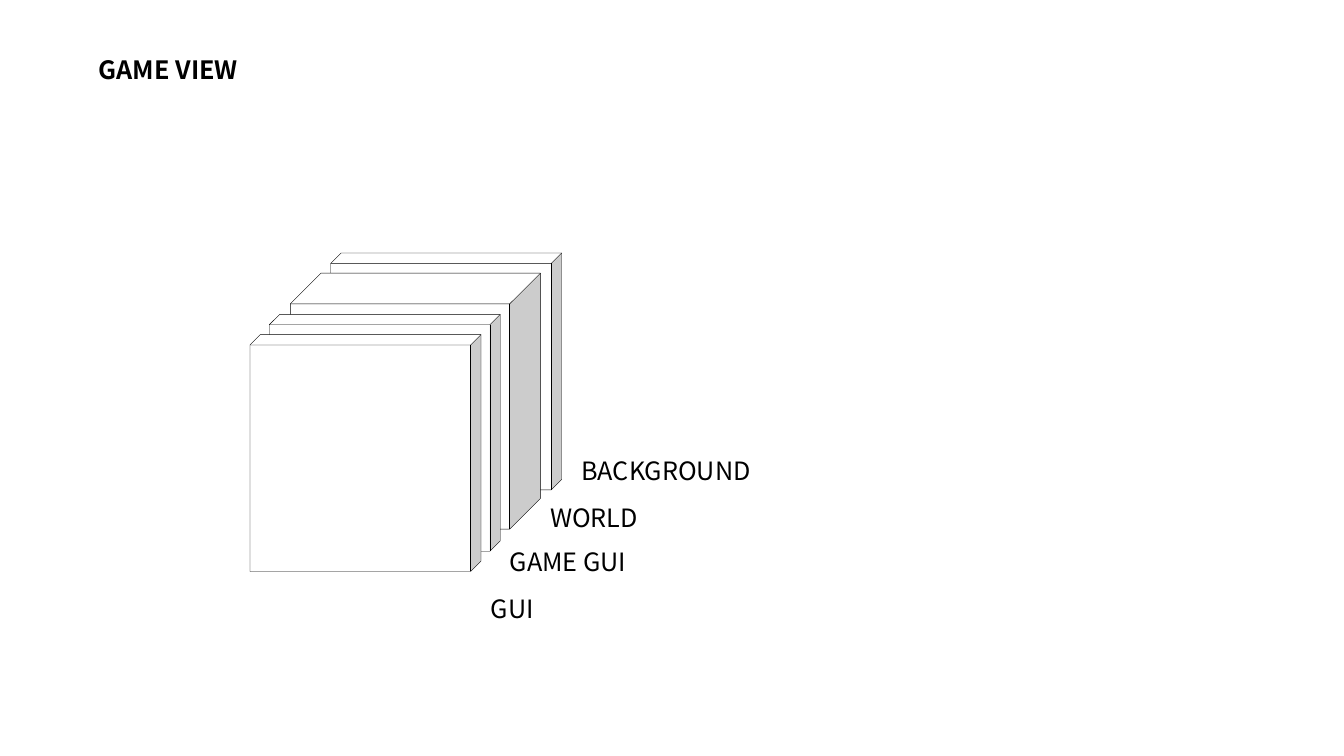
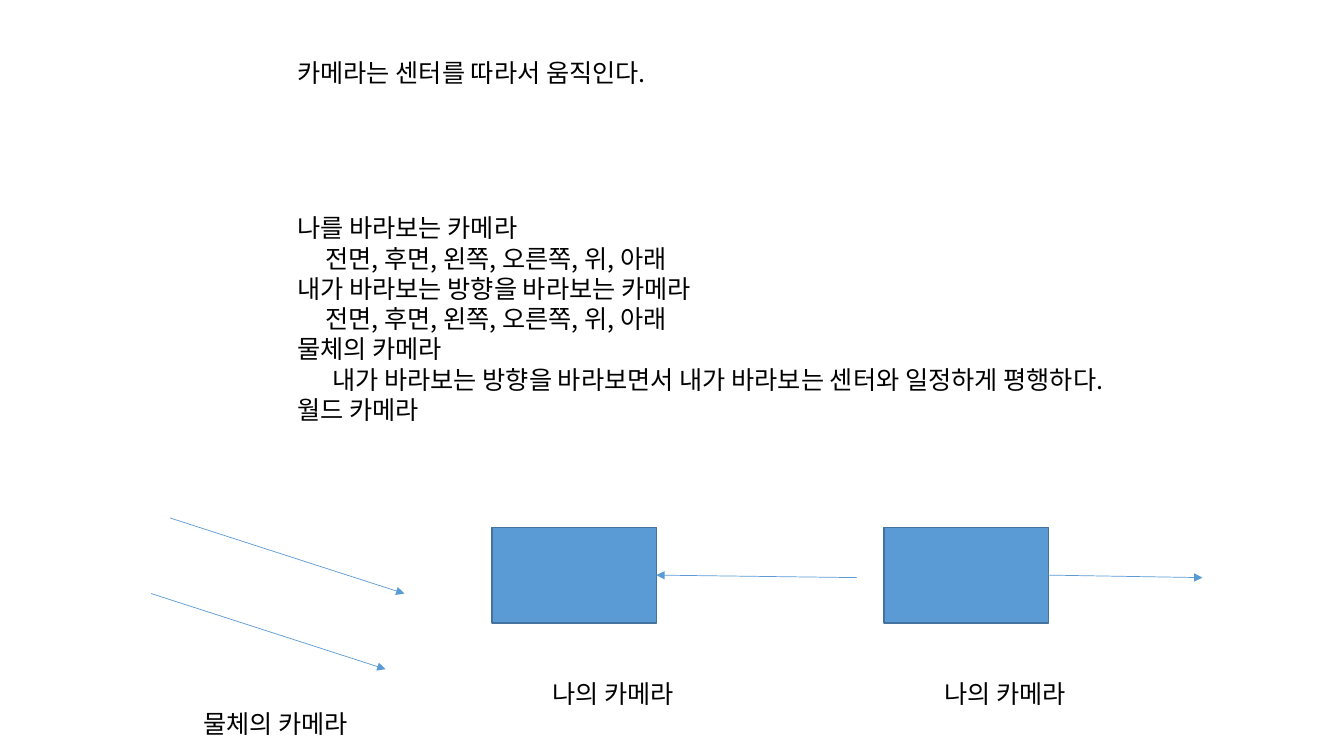
import pptx
import pptx.dml.color
import pptx.enum.shapes
import pptx.enum.text
import pptx.oxml.ns
import pptx.util
from lxml import etree

Pt = pptx.util.Pt
SHAPES = pptx.enum.shapes.MSO_SHAPE
ANCHOR = pptx.enum.text.MSO_ANCHOR
ALIGN = pptx.enum.text.PP_ALIGN

# Shared style
FONT = "Noto Sans CJK KR"
BLACK, WHITE, BLUE, DARK_BLUE = "000000", "FFFFFF", "5B9BD5", "43739E"
LINE_HEIGHT = 21.6
TEXT_HEIGHT = 28.8
FRAME_FORMAT = {"vertical_anchor": ANCHOR.TOP,
                "auto_size": pptx.enum.text.MSO_AUTO_SIZE.NONE}
PARA_FORMAT = {"alignment": ALIGN.LEFT, "line_spacing": Pt(LINE_HEIGHT),
               "space_before": Pt(0), "space_after": Pt(0)}
FONT_FORMAT = {"name": FONT, "size": Pt(18)}


def apply_format(target, values):
    for name, value in values.items():
        setattr(target, name, value)


def color(hex_value):
    return pptx.dml.color.RGBColor.from_string(hex_value)


def place(box, left, top, width, height):
    apply_format(box, {"left": Pt(left), "top": Pt(top),
                       "width": Pt(width), "height": Pt(height)})


def write_text(box, lines, bold=False, wrap=True):
    """Fill a box with (indent, text) lines in the shared text style."""
    frame = box.text_frame
    apply_format(frame, {**FRAME_FORMAT, "word_wrap": wrap})
    for number, (indent, text) in enumerate(lines):
        para = frame.paragraphs[0] if number == 0 else frame.add_paragraph()
        apply_format(para, PARA_FORMAT)
        properties = para._p.get_or_add_pPr()
        properties.set("marL", str(Pt(indent)))
        properties.set("indent", "0")
        etree.SubElement(properties, pptx.oxml.ns.qn("a:buNone"))
        span = para.add_run()
        span.text = text
        apply_format(span.font, {**FONT_FORMAT, "bold": bold})
        span.font.color.rgb = color(BLACK)
        east_asian = etree.SubElement(span.font._element, pptx.oxml.ns.qn("a:ea"))
        east_asian.set("typeface", FONT)


def add_title(page, text, left, top, width, bold=False):
    title = page.shapes.title
    place(title, left, top, width, TEXT_HEIGHT)
    write_text(title, [(0, text)], bold)


def add_label(page, text, left, top, width):
    box = page.shapes.add_textbox(Pt(left), Pt(top), Pt(width), Pt(TEXT_HEIGHT))
    write_text(box, [(0, text)], wrap=False)


def add_block(page, kind, left, top, width, height, fill, line, weight):
    block = page.shapes.add_shape(kind, Pt(left), Pt(top), Pt(width), Pt(height))
    block.shadow.inherit = False
    block.fill.solid()
    block.fill.fore_color.rgb = color(fill)
    block.line.color.rgb = color(line)
    block.line.width = Pt(weight)
    return block


def add_arrow(page, start, end):
    arrow = page.shapes.add_connector(
        pptx.enum.shapes.MSO_CONNECTOR.STRAIGHT, *map(Pt, (*start, *end)))
    arrow.line.color.rgb = color(BLUE)
    arrow.line.width = Pt(0.5)
    tail = etree.SubElement(arrow.line._get_or_add_ln(), pptx.oxml.ns.qn("a:tailEnd"))
    tail.set("type", "triangle")
    etree.SubElement(arrow._element.spPr, pptx.oxml.ns.qn("a:effectLst"))
    return arrow


# Slide 1: stacked view layers, from back to front
THIN = (165, 169.2, 0.045)
DEEP = (178.6, 182.9, 0.123)
LAYERS = [
    # label, label width, label offset, cube offset, cube size and depth
    ("BACKGROUND", 135.4, (229.6, 141.1), (57.6, 0), THIN),
    ("WORLD", 78.5, (207.3, 174.3), (28.8, 14.4), DEEP),
    ("GAME GUI", 102.2, (178.5, 205.9), (13.7, 43.9), THIN),
    ("GUI", 44.6, (164.9, 239.8), (0, 58.3), THIN),
]


def draw_layers(page, left, top):
    for _, _, _, (x, y), (width, height, depth) in LAYERS:
        cube = add_block(page, SHAPES.CUBE, left + x, top + y, width, height,
                         WHITE, BLACK, 0.25)
        cube.adjustments[0] = depth
    for text, width, (x, y), _, _ in LAYERS:
        add_label(page, text, left + x, top + y, width)


def build_game_view(deck):
    page = deck.slides.add_slide(deck.slide_layouts[5])
    add_title(page, "GAME VIEW", 63.4, 35.3, 150, bold=True)
    draw_layers(page, 178.6, 180.7)


# Slide 2: camera kinds
DIRECTIONS = "전면, 후면, 왼쪽, 오른쪽, 위, 아래"
CAMERA_LINES = [
    (0, "나를 바라보는 카메라"),
    (20, DIRECTIONS),
    (0, "내가 바라보는 방향을 바라보는 카메라"),
    (20, DIRECTIONS),
    (0, "물체의 카메라"),
    (25, "내가 바라보는 방향을 바라보면서 내가 바라보는 센터와 일정하게 평행하다."),
    (0, "월드 카메라"),
]


def draw_object_camera(page, left, top):
    """Two parallel arrows above their label."""
    for x, y in ((0, 54), (13.5, 0)):
        add_arrow(page, (left + x, top + y), (left + x + 167.4, top + y + 54))
    add_label(page, "물체의 카메라", left + 30.2, top + 132.5, 133.9)


def draw_my_camera(page, left, top, reach, inward):
    """A box with an arrow on its right side, pointing in or out."""
    width, height = 117.4, 68.4
    block = add_block(page, SHAPES.RECTANGLE, left, top, width, height,
                      BLUE, DARK_BLUE, 1)
    side = (left + width, top + height / 2)
    free = (left + reach, top + 36)
    if inward:
        add_arrow(page, free, side).end_connect(block, 3)
    else:
        add_arrow(page, side, free).begin_connect(block, 3)
    add_label(page, "나의 카메라", left + 36, top + 104.4, 111.6)


def build_cameras(deck):
    page = deck.slides.add_slide(deck.slide_layouts[1])
    add_title(page, "카메라는 센터를 따라서 움직인다.", 205.2, 37.4, 320)
    body = page.placeholders[1]
    place(body, 205.2, 148.3, 680, 159.8)
    write_text(body, CAMERA_LINES)
    draw_object_camera(page, 108, 370)
    draw_my_camera(page, 351.4, 376.6, 260.6, inward=True)
    draw_my_camera(page, 631.4, 376.6, 227.5, inward=False)


def main():
    deck = pptx.Presentation()
    deck.slide_width, deck.slide_height = Pt(960), Pt(540)
    build_game_view(deck)
    build_cameras(deck)
    deck.save("out.pptx")


if __name__ == "__main__":
    main()
